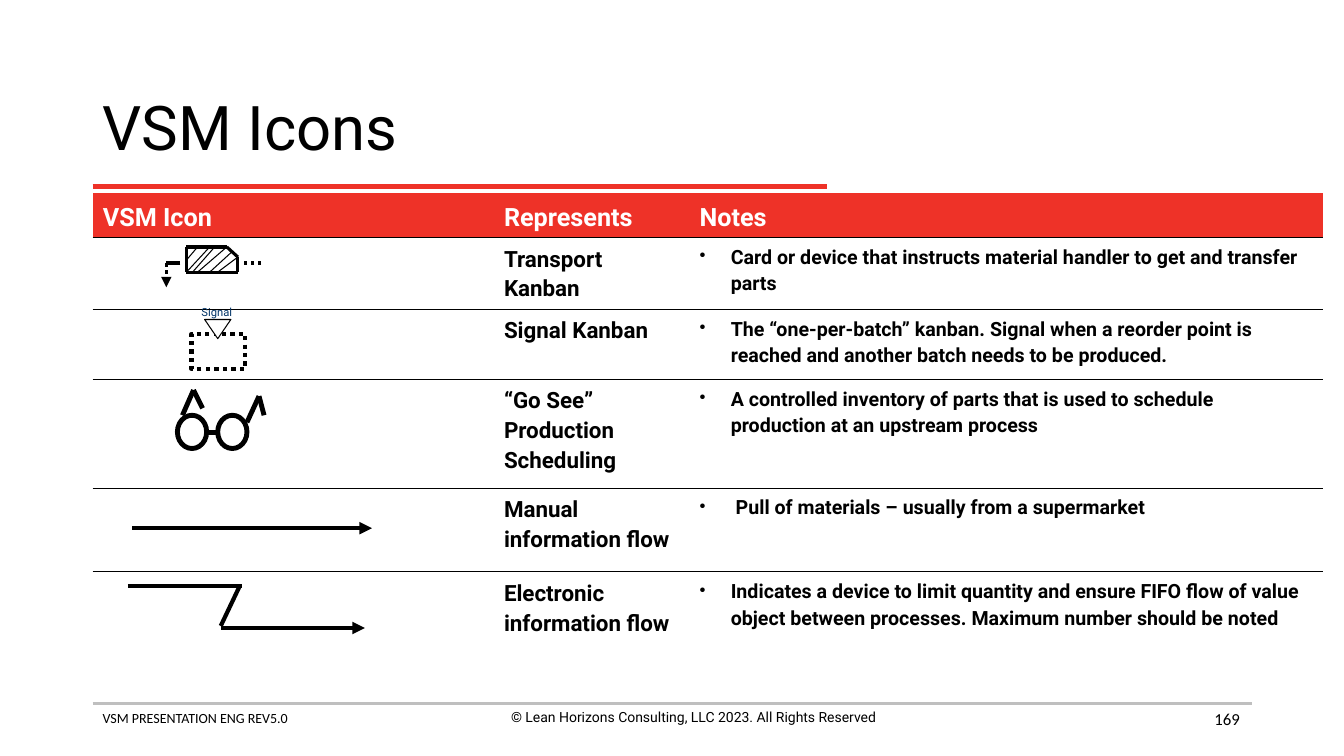
from dataclasses import dataclass
from lxml.etree import SubElement
from pptx import Presentation
from pptx.dml.color import RGBColor
from pptx.enum.dml import MSO_LINE
from pptx.enum.shapes import MSO_CONNECTOR, MSO_SHAPE
from pptx.enum.text import MSO_ANCHOR, MSO_AUTO_SIZE, PP_ALIGN
from pptx.oxml import parse_xml
from pptx.oxml.ns import nsdecls, qn
from pptx.util import Inches, Pt


@dataclass(frozen=True)
class Theme:
    black: str = "000000"
    white: str = "FFFFFF"
    red: str = "EE3228"
    grey: str = "BFBFBF"
    navy: str = "003366"
    font: str = "Roboto"
    footer_font: str = "Calibri"
    title: float = 44
    header: float = 18
    label: float = 16
    note: float = 14
    number: float = 12
    footer: float = 10
    tag: float = 8


THEME = Theme()
COLUMNS, ROWS = 133.33, 75
LEFT, RIGHT = 9.2, 124.2
COLUMN_WIDTHS = (39.8, 19.4, 62.9)
ROW_HEIGHTS = (4.3, 6.95, 6.95, 10.8, 8.3, 8.3)
HEADINGS = ("VSM Icon", "Represents", "Notes")
ICON_MEANINGS = (
    ("Transport Kanban",
     "Card or device that instructs material handler to get and transfer parts"),
    ("Signal Kanban",
     "The “one-per-batch” kanban. Signal when a reorder point is reached "
     "and another batch needs to be produced."),
    ("“Go See” Production Scheduling",
     "A controlled inventory of parts that is used to schedule production "
     "at an upstream process"),
    ("Manual information flow",
     " Pull of materials – usually from a supermarket"),
    ("Electronic information flow",
     "Indicates a device to limit quantity and ensure FIFO flow of value "
     "object between processes. Maximum number should be noted"),
)


def grid(cells):
    """Length of a number of grid cells, each a tenth of an inch."""
    return Inches(cells / 10)


def box(*cells):
    return [grid(n) for n in cells]


def color(value):
    return RGBColor.from_string(value)


def write(paragraph, text, size, ink=THEME.black, font=THEME.font, bold=False,
          align=PP_ALIGN.LEFT, spacing=1.0):
    paragraph.text = text
    paragraph.alignment = align
    paragraph.line_spacing = spacing
    style = paragraph.font
    style.size, style.name, style.bold = Pt(size), font, bold
    style.color.rgb = color(ink)


def add_label(shapes, place, text, size, wrap=True, anchor=MSO_ANCHOR.TOP, **style):
    frame = shapes.add_textbox(*box(*place)).text_frame
    frame.word_wrap = wrap
    frame.vertical_anchor = anchor
    write(frame.paragraphs[0], text, size, **style)


def add_stroke(shapes, start, end, width, ink=THEME.black, dash=None, arrow=False):
    stroke = shapes.add_connector(MSO_CONNECTOR.STRAIGHT, *box(*start, *end))
    stroke.line.color.rgb = color(ink)
    stroke.line.width = Pt(width)
    if dash:
        stroke.line.dash_style = dash
    if arrow:
        SubElement(stroke.line._get_or_add_ln(), qn("a:tailEnd"), type="triangle")
    SubElement(stroke._element.spPr, qn("a:effectLst"))


def add_path(shapes, points, width):
    for start, end in zip(points, points[1:]):
        add_stroke(shapes, start, end, width)


def add_outline(shapes, kind, place, width, fill=None):
    outline = shapes.add_shape(kind, *box(*place))
    outline.shadow.inherit = False
    if fill:
        outline.fill.solid()
        outline.fill.fore_color.rgb = color(fill)
    else:
        outline.fill.background()
    outline.line.color.rgb = color(THEME.black)
    outline.line.width = Pt(width)
    return outline


def add_bullet(paragraph):
    properties = paragraph._p.get_or_add_pPr()
    properties.set("marL", str(grid(3.1)))
    properties.set("indent", str(-grid(3.1)))
    bullet_color = SubElement(properties, qn("a:buClr"))
    SubElement(bullet_color, qn("a:srgbClr"), val=THEME.black)
    SubElement(properties, qn("a:buSzPct"), val="90000")
    SubElement(properties, qn("a:buChar"), char="•")


def add_rule(cell, side):
    cell._tc.get_or_add_tcPr().insert(0, parse_xml(
        f'<a:{side} {nsdecls("a")} w="12700"><a:solidFill>'
        f'<a:srgbClr val="{THEME.black}"/></a:solidFill></a:{side}>'))


def add_icon_table(shapes):
    table = shapes.add_table(
        len(ROW_HEIGHTS), len(COLUMN_WIDTHS),
        *box(LEFT, 19.1, sum(COLUMN_WIDTHS), sum(ROW_HEIGHTS))).table
    plain_style = "{2D5ABB26-0587-4C30-8999-92F81FD0307C}"
    table._tbl.tblPr.find(qn("a:tableStyleId")).text = plain_style
    for column, width in zip(table.columns, COLUMN_WIDTHS):
        column.width = grid(width)
    for row, height in zip(table.rows, ROW_HEIGHTS):
        row.height = grid(height)

    for cell, heading in zip(table.rows[0].cells, HEADINGS):
        cell.fill.solid()
        cell.fill.fore_color.rgb = color(THEME.red)
        cell.vertical_anchor = MSO_ANCHOR.BOTTOM
        write(cell.text_frame.paragraphs[0], heading, THEME.header,
              ink=THEME.white, bold=True, spacing=1.15)
        add_rule(cell, "lnB")

    for number, (label, note) in enumerate(ICON_MEANINGS, start=1):
        for cell in table.rows[number].cells:
            cell.fill.background()
            if number < len(ICON_MEANINGS):
                add_rule(cell, "lnB")
            add_rule(cell, "lnT")
        label_line, note_line = (
            table.cell(number, column).text_frame.paragraphs[0] for column in (1, 2))
        write(label_line, label, THEME.label, bold=True, spacing=1.15)
        note_line.line_spacing = 1.15
        add_bullet(note_line)
        write(note_line, note, THEME.note, bold=True, spacing=1.15)


def draw_transport_kanban(icon):
    add_path(icon, ((22.5, 24.5), (18.5, 24.5), (18.5, 27), (23.6, 27),
                    (23.6, 25.5), (22.5, 24.5)), 2.25)
    hatching = (((19.6, 24.5), (18.5, 25.8)), ((20.8, 24.5), (18.5, 27)),
                ((21.3, 24.5), (19.1, 27)), ((22.5, 24.5), (19.6, 27)),
                ((23.1, 24.9), (20.8, 27)), ((23.6, 25.5), (21.6, 27)))
    for start, end in hatching:
        add_stroke(icon, start, end, 0.75)
    dots = MSO_LINE.ROUND_DOT
    add_stroke(icon, (25.9, 26.1), (24.2, 26.1), 2.5, dash=dots)
    add_stroke(icon, (17.9, 26.1), (16.5, 26.1), 2.5, dash=MSO_LINE.DASH)
    add_stroke(icon, (16.5, 26.1), (16.5, 28.5), 2.5, dash=dots, arrow=True)


def draw_signal_kanban(icon):
    batch = add_outline(icon, MSO_SHAPE.RECTANGLE, (19, 33.1, 5.3, 3.5), 3)
    batch.line.dash_style = MSO_LINE.ROUND_DOT
    signal = add_outline(icon, MSO_SHAPE.ISOSCELES_TRIANGLE,
                         (20.3, 31.7, 2.6, 1.9), 0.75, fill=THEME.white)
    signal.rotation = 180
    add_label(icon, (19, 29.8, 5.1, 2.4), "Signal", THEME.tag, wrap=False,
              ink=THEME.navy)


def draw_go_see_glasses(icon):
    for lens_left in (17.6, 21.6):
        add_outline(icon, MSO_SHAPE.OVAL, (lens_left, 41.2, 2.9, 3.3), 3.5)
    bridge = ((20.6, 42.9), (21.5, 42.9))
    left_arm = ((18.1, 41.2), (19.2, 38.7), (20.1, 40.5))
    right_arm = ((24.5, 41.9), (25.7, 39.3), (26.2, 41.2))
    for part in (bridge, left_arm, right_arm):
        add_path(icon, part, 3.5)


def draw_manual_flow(icon):
    add_stroke(icon, (13.1, 52.4), (36.9, 52.4), 3, arrow=True)


def draw_electronic_flow(icon):
    add_stroke(icon, (12.7, 58.1), (24, 58.1), 3)
    add_stroke(icon, (23.8, 58.1), (21.9, 62.1), 3)
    add_stroke(icon, (21.9, 62.3), (36.2, 62.3), 3, arrow=True)


def add_title(slide, text):
    title = slide.shapes.title
    title.left, title.top, title.width, title.height = box(LEFT, 7.4, RIGHT - LEFT, 11)
    title.text_frame.auto_size = MSO_AUTO_SIZE.NONE
    title.text_frame.vertical_anchor = MSO_ANCHOR.MIDDLE
    write(title.text_frame.paragraphs[0], text, THEME.title, spacing=0.9)
    add_stroke(slide.shapes, (LEFT, 18.5), (82, 18.5), 3, ink=THEME.red)


def add_footer(shapes):
    add_stroke(shapes, (LEFT, 69.8), (RIGHT, 69.8), 2, ink=THEME.grey)
    add_label(shapes, (LEFT, 69.9, 45.6, 4.4), "VSM PRESENTATION ENG REV5.0",
              THEME.footer, font=THEME.footer_font)
    add_label(shapes, (46, 69.8, 45.6, 4.4),
              "© Lean Horizons Consulting, LLC 2023. All Rights Reserved",
              THEME.footer, align=PP_ALIGN.CENTER)
    add_label(shapes, (94, 69.3, 30, 4), "169", THEME.number,
              anchor=MSO_ANCHOR.MIDDLE, font=THEME.footer_font, align=PP_ALIGN.RIGHT)


def main():
    deck = Presentation()
    deck.slide_width, deck.slide_height = box(COLUMNS, ROWS)
    slide = deck.slides.add_slide(deck.slide_layouts[5])
    add_title(slide, "VSM Icons")
    add_footer(slide.shapes)
    add_icon_table(slide.shapes)
    draw_manual_flow(slide.shapes)
    for draw in (draw_electronic_flow, draw_go_see_glasses,
                 draw_signal_kanban, draw_transport_kanban):
        draw(slide.shapes.add_group_shape().shapes)
    deck.save("out.pptx")


if __name__ == "__main__":
    main()
